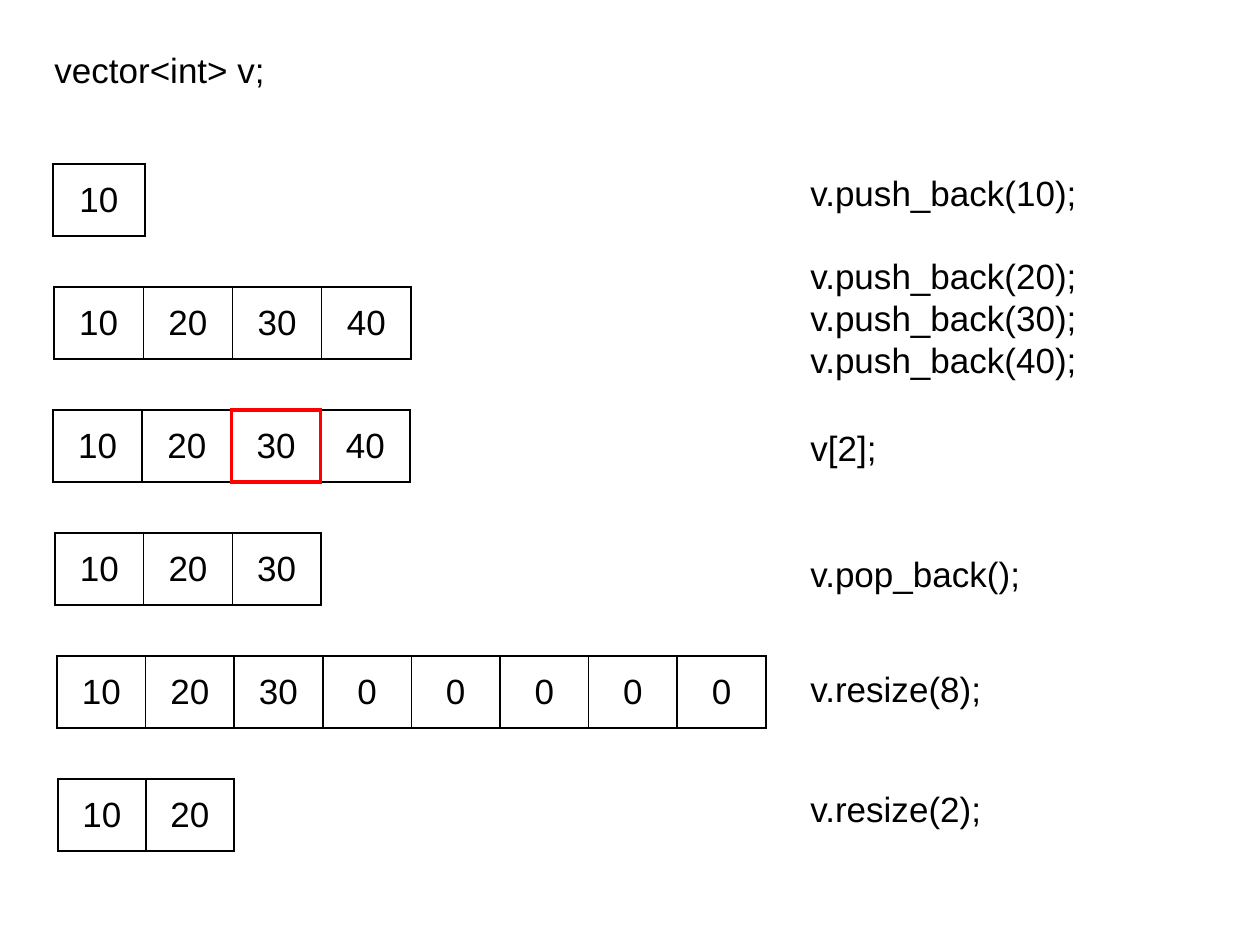
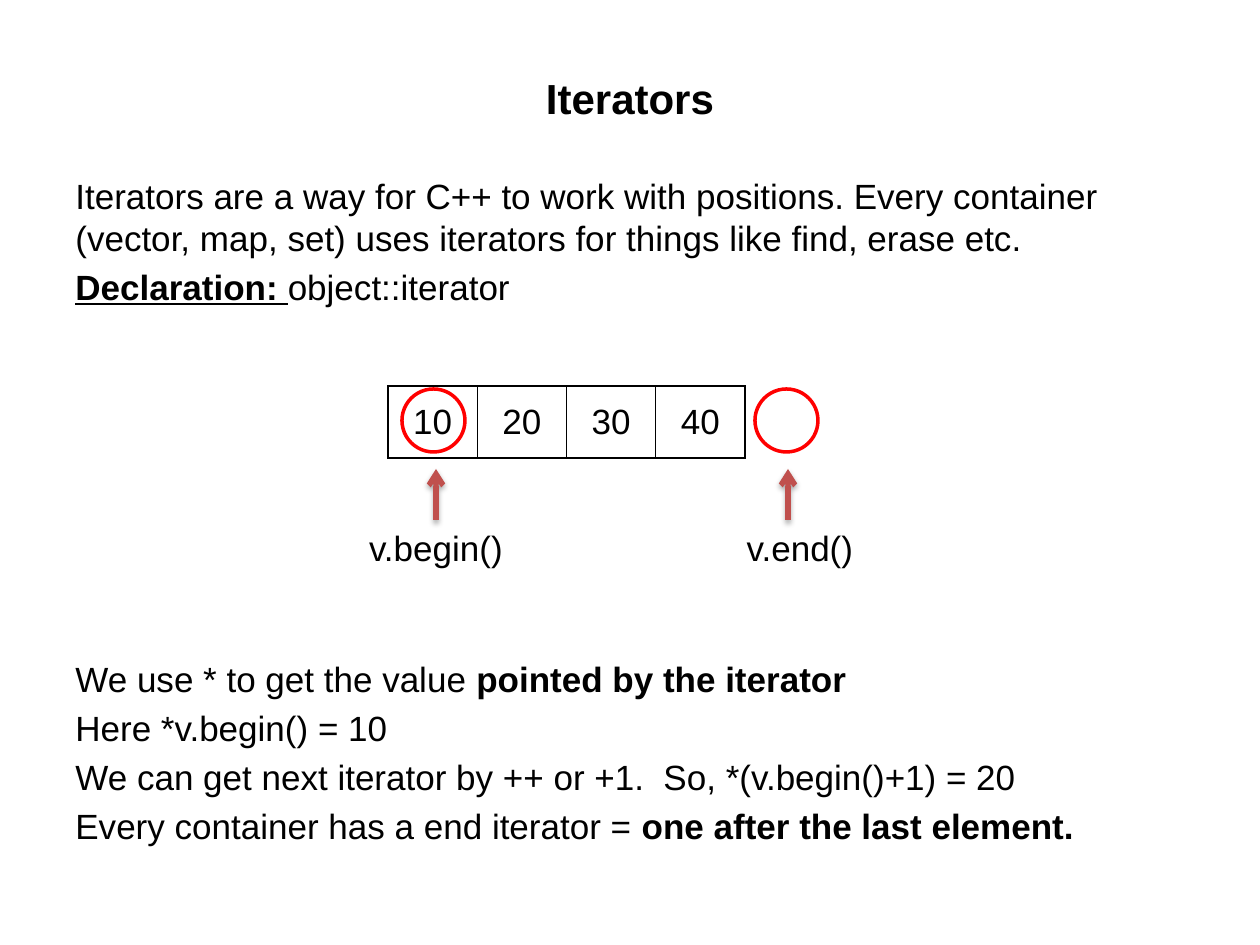
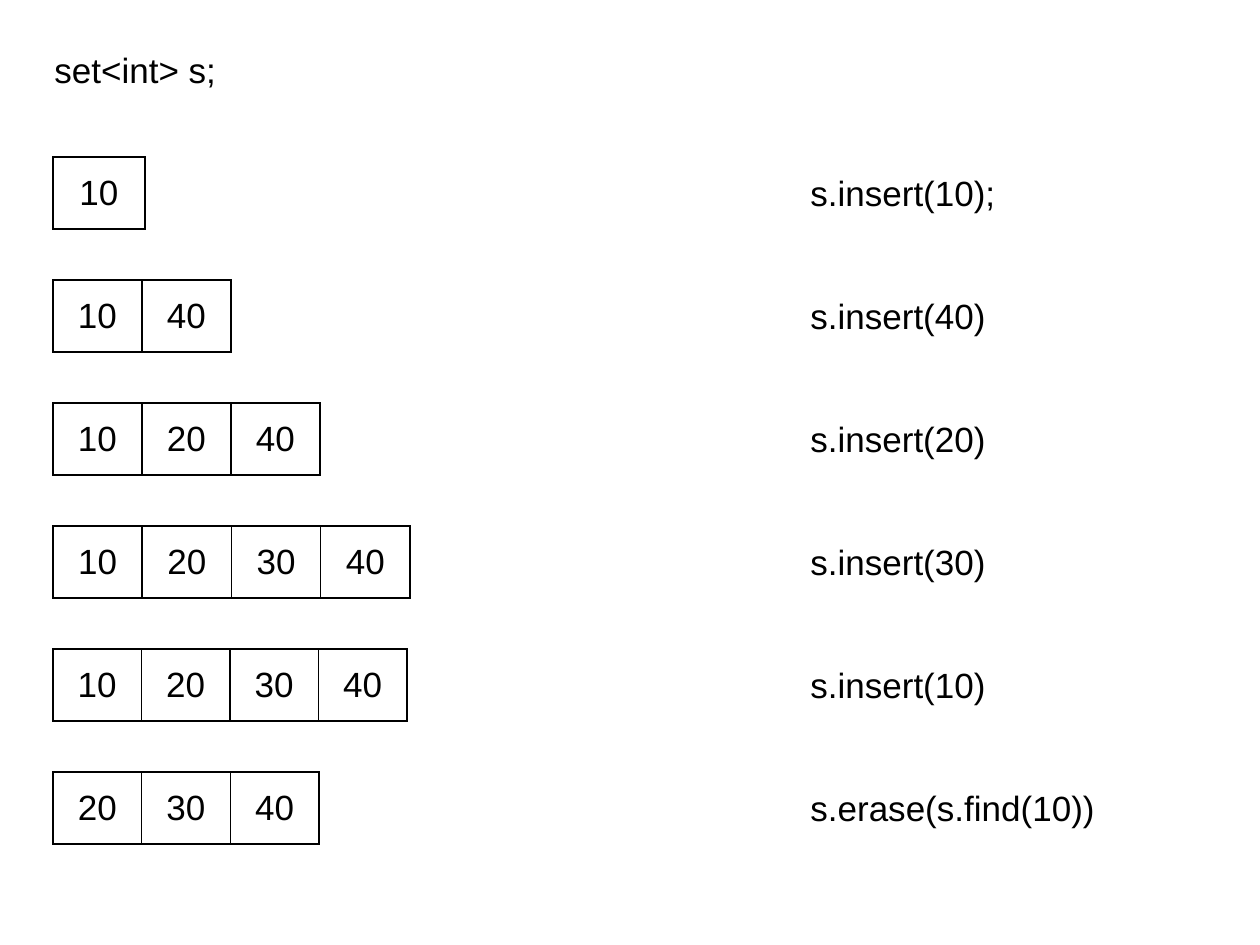
import pptx
import pptx.util
import pptx.dml.color
import pptx.enum.shapes
import pptx.enum.text
import pptx.oxml
import pptx.oxml.ns

COLORS = {"ink": "000000", "paper": "FFFFFF", "mark": "FF0000", "arrow": "C0504D"}
PIXEL = 914400 / 126
FONT = "Arial"
TEXT_SIZE = 20
ROW_STEP = 123
CELL_HEIGHT = 72
COMMAND_LEFT = 798


def emu(pixels):
    """Turn pixels into EMU."""
    return pptx.util.Emu(round(pixels * PIXEL))


def color(name):
    """Look up a colour by name."""
    return pptx.dml.color.RGBColor.from_string(COLORS[name])


def xml(text):
    """Parse a drawing element that declares no namespace itself."""
    head, rest = text.split(" ", 1)
    return pptx.oxml.parse_xml(f"{head} {pptx.oxml.ns.nsdecls('a')} {rest}")


class Deck:
    """Holds the presentation, its style and the current slide."""

    def __init__(self):
        """Start a presentation of 10 by 7.5 inches."""
        self.presentation = pptx.Presentation()
        self.presentation.slide_width = emu(1260)
        self.presentation.slide_height = emu(945)
        self.slide = None

    def new_slide(self):
        """Add a blank slide and make it current."""
        self.slide = self.presentation.slides.add_slide(self.presentation.slide_layouts[6])

    def run(self, paragraph, text, size=TEXT_SIZE, bold=False, underline=False):
        """Add one run of text."""
        run = paragraph.add_run()
        run.text = text
        run.font.name = FONT
        run.font.size = pptx.util.Pt(size)
        run.font.bold = bold
        run.font.underline = underline
        run.font.color.rgb = color("ink")

    def text_box(self, left, top, width, height):
        """Add an empty wrapping text box and return its frame."""
        shape = self.slide.shapes.add_textbox(emu(left), emu(top), emu(width), emu(height))
        shape.text_frame.word_wrap = True
        return shape.text_frame

    def title(self, text):
        """Add a centred bold title."""
        frame = self.text_box(63, 38, 1134, 120)
        frame.vertical_anchor = pptx.enum.text.MSO_ANCHOR.MIDDLE
        frame.paragraphs[0].alignment = pptx.enum.text.PP_ALIGN.CENTER
        self.run(frame.paragraphs[0], text, size=24, bold=True)

    def body(self, paragraphs):
        """Add body text from pairs of space before and styled runs."""
        frame = self.text_box(63, 168, 1134, 725)
        for index, (space, runs) in enumerate(paragraphs):
            paragraph = frame.add_paragraph() if index else frame.paragraphs[0]
            paragraph.space_before = pptx.util.Pt(space)
            for text, style in runs:
                self.run(paragraph, text, **style)

    def label(self, left, top, width, lines, centered=False):
        """Add a text box that grows with its lines."""
        frame = self.text_box(left, top, width, 13 + 42 * len(lines))
        frame.auto_size = pptx.enum.text.MSO_AUTO_SIZE.SHAPE_TO_FIT_TEXT
        for index, line in enumerate(lines):
            paragraph = frame.add_paragraph() if index else frame.paragraphs[0]
            if centered:
                paragraph.alignment = pptx.enum.text.PP_ALIGN.CENTER
            self.run(paragraph, line)

    def cells(self, left, top, width, values, marked=None):
        """Add a row of equal cells, one of them framed in red if marked."""
        frame = self.slide.shapes.add_table(
            1, len(values), emu(left), emu(top), emu(width), emu(CELL_HEIGHT))
        table = frame.table
        table.first_row = table.horz_banding = False
        for index, value in enumerate(values):
            table.columns[index].width = emu(width / len(values))
            cell = table.cell(0, index)
            cell.fill.solid()
            cell.fill.fore_color.rgb = color("paper")
            cell.vertical_anchor = pptx.enum.text.MSO_ANCHOR.MIDDLE
            paragraph = cell.text_frame.paragraphs[0]
            paragraph.alignment = pptx.enum.text.PP_ALIGN.CENTER
            self.run(paragraph, str(value))
            red_sides = ""
            if marked is not None:
                red_sides = {-1: "R", 0: "LRTB", 1: "L"}.get(index - marked, "")
            self.borders(cell, red_sides)

    def borders(self, cell, red_sides):
        """Draw the four borders of a cell, the given sides in red."""
        properties = cell._tc.get_or_add_tcPr()
        for position, side in enumerate("LRTB"):
            name, points = ("mark", 2.25) if side in red_sides else ("ink", 1)
            properties.insert(position, xml(
                f'<a:ln{side} w="{pptx.util.Pt(points)}"><a:solidFill>'
                f'<a:srgbClr val="{COLORS[name]}"/></a:solidFill></a:ln{side}>'))

    def ring(self, left, top, size):
        """Add a red circle without fill."""
        shape = self.slide.shapes.add_shape(
            pptx.enum.shapes.MSO_SHAPE.OVAL, emu(left), emu(top), emu(size), emu(size))
        shape.shadow.inherit = False
        shape.fill.background()
        shape.line.color.rgb = color("mark")
        shape.line.width = pptx.util.Pt(2)

    def up_arrow(self, center, bottom, top):
        """Add an upward arrow with a soft shadow."""
        arrow = self.slide.shapes.add_connector(
            pptx.enum.shapes.MSO_CONNECTOR.STRAIGHT,
            emu(center), emu(bottom), emu(center), emu(top))
        arrow.line.color.rgb = color("arrow")
        arrow.line.width = pptx.util.Pt(3)
        arrow.line._get_or_add_ln().append(xml('<a:tailEnd type="arrow"/>'))
        arrow._element.spPr.append(xml(
            f'<a:effectLst ><a:outerShdw blurRad="{pptx.util.Pt(3.1)}" '
            f'dist="{pptx.util.Pt(1.8)}" dir="5400000" rotWithShape="0">'
            f'<a:srgbClr val="{COLORS["ink"]}"><a:alpha val="35000"/></a:srgbClr>'
            '</a:outerShdw></a:effectLst>'))

    def container_slide(self, declaration, first_row, rows, commands):
        """Show the states of a container beside the calls that cause them."""
        self.new_slide()
        self.label(42, 42, 462, [declaration])
        for top, lines in commands:
            self.label(COMMAND_LEFT, top, 431, lines)
        for index, (left, width, values, marked) in enumerate(rows):
            self.cells(left, first_row + ROW_STEP * index, width, values, marked)


deck = Deck()

deck.container_slide(
    "vector<int> v;", 164,
    [(53, 92, [10], None),
     (54, 357, [10, 20, 30, 40], None),
     (53, 357, [10, 20, 30, 40], 2),
     (55, 266, [10, 20, 30], None),
     (57, 709, [10, 20, 30] + [0] * 5, None),
     (58, 176, [10, 20], None)],
    [(165, ["v.push_back(10);"]),
     (248, [f"v.push_back({value});" for value in (20, 30, 40)]),
     (420, ["v[2];"]),
     (546, ["v.pop_back();"]),
     (661, ["v.resize(8);"]),
     (781, ["v.resize(2);"])])

deck.new_slide()
deck.title("Iterators")
BOLD = {"bold": True}
GAP = 4
DIAGRAM_GAP = 200
deck.body([
    (GAP, [("Iterators are a way for C++ to work with positions. Every container "
            "(vector, map, set) uses iterators for things like find, erase etc.", {})]),
    (GAP, [("Declaration: ", {"bold": True, "underline": True}), ("object::iterator", {})]),
    (DIAGRAM_GAP, [("We use * to get the value ", {}), ("pointed by the iterator", BOLD)]),
    (GAP, [("Here *v.begin() = 10", {})]),
    (GAP, [("We can get next iterator by ++ or +1.  So, *(v.begin()+1) = 20", {})]),
    (GAP, [("Every container has a end iterator = ", {}),
           ("one after the last element.", BOLD)])])
deck.cells(388, 386, 357, [10, 20, 30, 40])
for ring_left, label_left, arrow_center, name in (
        (402, 315, 436, "v.begin()"), (755, 679, 788, "v.end()")):
    deck.ring(ring_left, 389, 63)
    deck.label(label_left, 520, 242, [name], centered=True)
    deck.up_arrow(arrow_center, 520, 469)

calls = ["s.insert(10);", "s.insert(40)", "s.insert(20)", "s.insert(30)",
         "s.insert(10)", "s.erase(s.find(10))"]
deck.container_slide(
    "set<int> s;", 157,
    [(53, width, values, None) for width, values in (
        (92, [10]), (178, [10, 40]), (267, [10, 20, 40]),
        (357, [10, 20, 30, 40]), (354, [10, 20, 30, 40]), (266, [20, 30, 40]))],
    [(165 + ROW_STEP * index, [call]) for index, call in enumerate(calls)])

deck.presentation.save("out.pptx")
